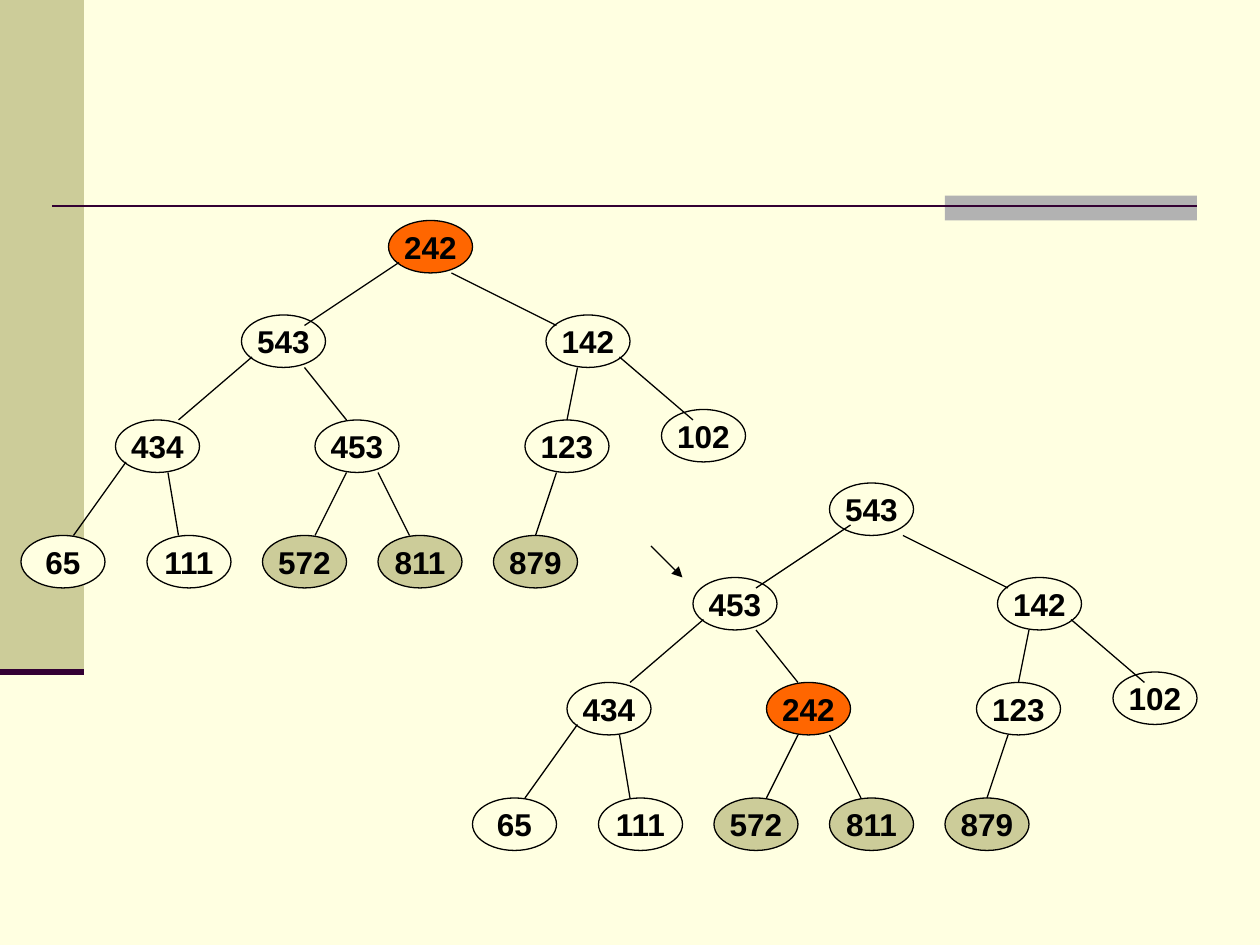
from lxml import etree
from pptx import Presentation
from pptx.dml.color import RGBColor
from pptx.enum.shapes import MSO_CONNECTOR, MSO_SHAPE
from pptx.enum.text import MSO_ANCHOR, PP_ALIGN
from pptx.oxml.ns import qn
from pptx.util import Pt

PX = 9525
STRAIGHT = MSO_CONNECTOR.STRAIGHT
RECTANGLE = MSO_SHAPE.RECTANGLE
OVAL = MSO_SHAPE.OVAL
MIDDLE = MSO_ANCHOR.MIDDLE
CENTER = PP_ALIGN.CENTER
COLORS = {
    "cream": "FFFFE1",
    "khaki": "CCCC99",
    "gray": "B2B2B2",
    "plum": "330033",
    "orange": "FF6600",
    "black": "000000",
}

prs = Presentation()
prs.slide_width = 960 * PX
prs.slide_height = 720 * PX
slide = prs.slides.add_slide(prs.slide_layouts[6])
slide.background.fill.solid()
slide.background.fill.fore_color.rgb = RGBColor.from_string(COLORS["cream"])


def add_filled(kind, left, top, width, height, color):
    shape = slide.shapes.add_shape(kind, left * PX, top * PX, width * PX, height * PX)
    shape.shadow.inherit = False
    shape.fill.solid()
    shape.fill.fore_color.rgb = RGBColor.from_string(COLORS[color])
    shape.line.fill.background()
    return shape


def add_line(x1, y1, x2, y2, color="black", weight=0.75):
    line = slide.shapes.add_connector(STRAIGHT, x1 * PX, y1 * PX, x2 * PX, y2 * PX)
    line.line.color.rgb = RGBColor.from_string(COLORS[color])
    line.line.width = Pt(weight)
    etree.SubElement(line._element.spPr, qn("a:effectLst"))
    return line


add_filled(RECTANGLE, 0, 0, 64, 512, "khaki")
add_filled(RECTANGLE, 720, 149, 192, 19, "gray")
add_line(40, 157, 912, 157, "plum", 1.5)
add_line(0, 512, 64, 512, "plum", 3.5)

# fmt: off
node_places = [
    (296, 168),
    (184, 240), (416, 240),
    (88, 320), (240, 320), (400, 320), (504, 312),
    (16, 408), (112, 408), (200, 408), (288, 408), (376, 408),
]
edges = [
    (304, 200, 232, 248), (344, 208, 424, 248),
    (192, 272, 136, 320), (232, 280, 264, 320),
    (440, 280, 432, 320), (472, 272, 528, 320),
    (96, 352, 56, 408), (128, 360, 136, 408),
    (264, 360, 240, 408), (288, 360, 312, 408),
    (424, 360, 408, 408),
]
# fmt: on
heap_before = "242 543 142 434 453 123 102 65 111 572 811 879".split()
heap_after = "543 453 142 434 242 123 102 65 111 572 811 879".split()
node_colors = {"242": "orange", "572": "khaki", "811": "khaki", "879": "khaki"}

for keys, dx, dy, root_shift in [(heap_before, 0, 0, 0), (heap_after, 344, 200, -8)]:
    for index, (key, (x, y)) in enumerate(zip(keys, node_places)):
        left = x + dx + (root_shift if index == 0 else 0)
        node = add_filled(OVAL, left, y + dy, 64, 40, node_colors.get(key, "cream"))
        node.line.color.rgb = RGBColor.from_string(COLORS["black"])
        node.line.width = Pt(0.75)
        frame = node.text_frame
        frame.text = key
        frame.word_wrap = False
        frame.vertical_anchor = MIDDLE
        frame.paragraphs[0].alignment = CENTER
        font = frame.paragraphs[0].runs[0].font
        font.name = "Arial"
        font.size = Pt(18)
        font.bold = True
        font.color.rgb = RGBColor.from_string(COLORS["black"])
    for x1, y1, x2, y2 in edges:
        add_line(x1 + dx, y1 + dy, x2 + dx, y2 + dy)

step_arrow = add_line(496, 416, 520, 440)
etree.SubElement(step_arrow.line._get_or_add_ln(), qn("a:tailEnd"), type="triangle")

prs.save("out.pptx")
